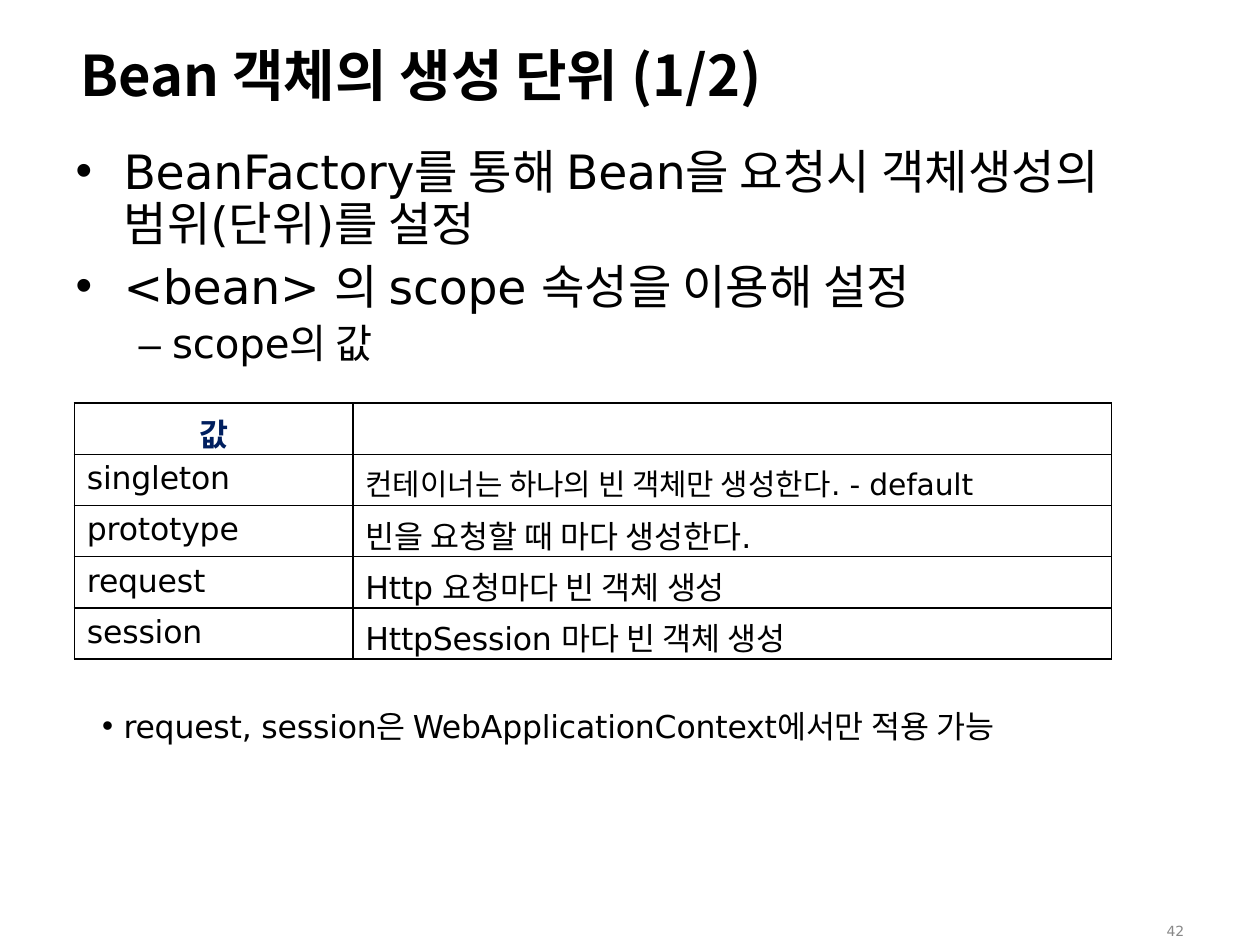
from typing import NamedTuple

import pptx
import pptx.dml.color
import pptx.enum.text
import pptx.oxml.ns
import pptx.util
from lxml import etree
from pptx.dml.color import RGBColor
from pptx.util import Inches

BLACK = RGBColor(0, 0, 0)
NAVY = RGBColor(0x00, 0x1F, 0x5F)
GRAY = RGBColor(0x88, 0x88, 0x88)
LATIN = "DejaVu Sans"
HANGUL = "Noto Sans CJK KR"
DASH = "Arial"
CENTER = pptx.enum.text.PP_ALIGN.CENTER


class Run(NamedTuple):
    text: str
    font: str = LATIN


class Para(NamedTuple):
    runs: list[Run]
    size: float
    left: float = 0
    hang: float = 0
    before: float = 1
    line: float | None = None
    color: RGBColor = BLACK
    bold: bool = False
    bullet: bool = False
    align: pptx.enum.text.PP_ALIGN | None = None


class Box(NamedTuple):
    left: float
    top: float
    width: float
    height: float
    inset: float
    paras: list[Para]


def ko(text: str) -> Run:
    return Run(text, HANGUL)


def add_tag(parent, tag: str, **attrs: str):
    return etree.SubElement(parent, pptx.oxml.ns.qn(tag), **attrs)


def write_para(frame, para: Para, first: bool) -> None:
    item = frame.paragraphs[0] if first else frame.add_paragraph()
    item.space_before = pptx.util.Pt(para.before)
    if para.line:
        item.line_spacing = pptx.util.Pt(para.line)
    if para.align:
        item.alignment = para.align
    props = item._p.get_or_add_pPr()
    props.set("marL", str(Inches(para.left)))
    props.set("indent", str(Inches(-para.hang)))
    if para.bullet:
        add_tag(props, "a:buFont", typeface="Arial")
        add_tag(props, "a:buChar", char="•")
    for part in para.runs:
        run = item.add_run()
        run.text = part.text
        font = run.font
        font.size = pptx.util.Pt(para.size)
        font.bold = para.bold
        font.color.rgb = para.color
        font.name = part.font
        mark = run._r.get_or_add_rPr()
        add_tag(mark, "a:ea", typeface=part.font)
        if part.font == LATIN:
            mark.set("spc", "-10")


def add_box(slide, box: Box) -> None:
    shape = slide.shapes.add_textbox(*map(Inches, box[:4]))
    frame = shape.text_frame
    frame.word_wrap = True
    frame.margin_left = frame.margin_right = frame.margin_bottom = 0
    frame.margin_top = Inches(box.inset)
    for index, para in enumerate(box.paras):
        write_para(frame, para, index == 0)


def style_cell(cell) -> None:
    """Set insets, thin black borders and no fill."""
    cell.margin_left = cell.margin_right = cell.margin_bottom = 0
    cell.margin_top = Inches(0.05)
    props = cell._tc.get_or_add_tcPr()
    for side in ("L", "R", "T", "B"):
        line = add_tag(props, f"a:ln{side}", w=str(pptx.util.Pt(1)))
        fill = add_tag(line, "a:solidFill")
        add_tag(fill, "a:srgbClr", val=str(BLACK))
    cell.fill.background()


def add_grid(slide, rows: list[list[Para | None]]) -> None:
    widths = (2.21, 6.02)
    height = Inches(2.03)
    frame = slide.shapes.add_table(
        len(rows), len(widths), Inches(0.59), Inches(3.2),
        Inches(sum(widths)), height)
    table = frame.table
    table.first_row = table.horz_banding = False
    for col, width in zip(table.columns, widths):
        col.width = Inches(width)
    for row, paras in zip(table.rows, rows):
        row.height = height // len(rows)
        for cell, para in zip(row.cells, paras):
            style_cell(cell)
            if para:
                write_para(cell.text_frame, para, True)


def cell_para(*runs: Run, size: float = 18) -> Para:
    return Para(list(runs), size, left=0.1, before=3.6)


BOXES = [
    Box(9.2, 7.3, 0.26, 0.18, 0.02,
        [Para([Run("42")], 8, left=0.06, before=1.6, color=GRAY)]),
    Box(0.63, 0.31, 5.83, 0.56, 0.01,
        [Para([ko("Bean 객체의 생성 단위 (1/2)")], 32, left=0.01, bold=True)]),
    Box(0.59, 1.1, 8.69, 1.82, 0.06, [
        Para([Run("BeanFactory"), ko("를 통해 "), Run("Bean"),
              ko("을 요청시 객체생성의 범위"), Run("("), ko("단위"), Run(")"),
              ko("를 설정")],
             27, 0.39, 0.38, before=4.1, line=29.9, bullet=True),
        Para([Run("<bean> "), ko("의 "), Run("scope "),
              ko("속성을 이용해 설정")],
             27, 0.39, 0.38, before=3.5, bullet=True),
        Para([Run("– ", DASH), Run("scope"), ko("의 값")],
             23, 0.51, before=2.8),
    ]),
    Box(0.79, 5.6, 7.41, 0.33, 0.01, [
        Para([Run("request, session"), ko("은 "),
              Run("WebApplicationContext"), ko("에서만 적용 가능")],
             18, 0.19, 0.17, bullet=True),
    ]),
]

ROWS = [
    [Para([ko("값")], 18, before=3.6, color=NAVY, bold=True, align=CENTER),
     None],
    [cell_para(Run("singleton"), size=18),
     cell_para(ko("컨테이너는 하나의 빈 객체만 생성한다"),
               Run(". - default"), size=17)],
    [cell_para(Run("prototype")),
     cell_para(ko("빈을 요청할 때 마다 생성한다"), Run("."))],
    [cell_para(Run("request")),
     cell_para(Run("Http "), ko("요청마다 빈 객체 생성"))],
    [cell_para(Run("session")),
     cell_para(Run("HttpSession "), ko("마다 빈 객체 생성"))],
]


def main() -> None:
    deck = pptx.Presentation()
    deck.slide_width = Inches(10)
    deck.slide_height = Inches(7.5)
    slide = deck.slides.add_slide(deck.slide_layouts[6])
    for box in BOXES:
        add_box(slide, box)
    add_grid(slide, ROWS)
    deck.save("out.pptx")


if __name__ == "__main__":
    main()
